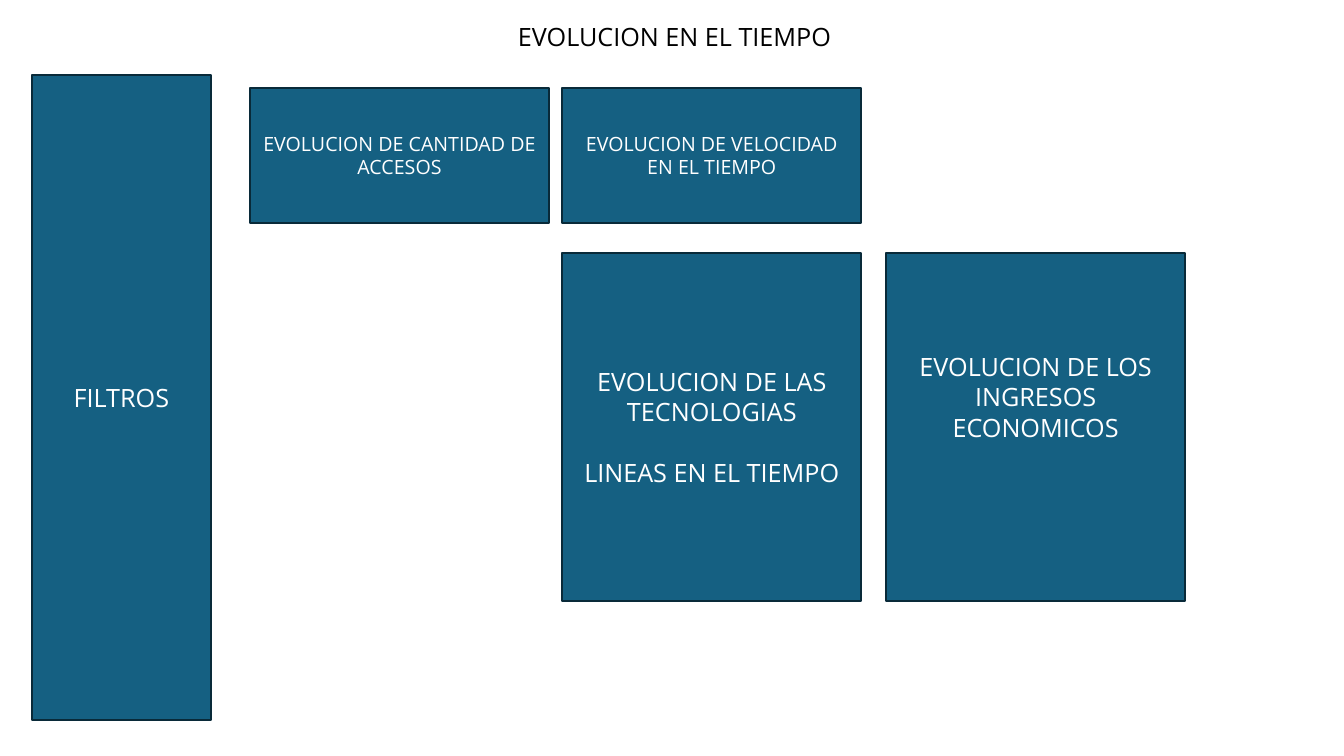
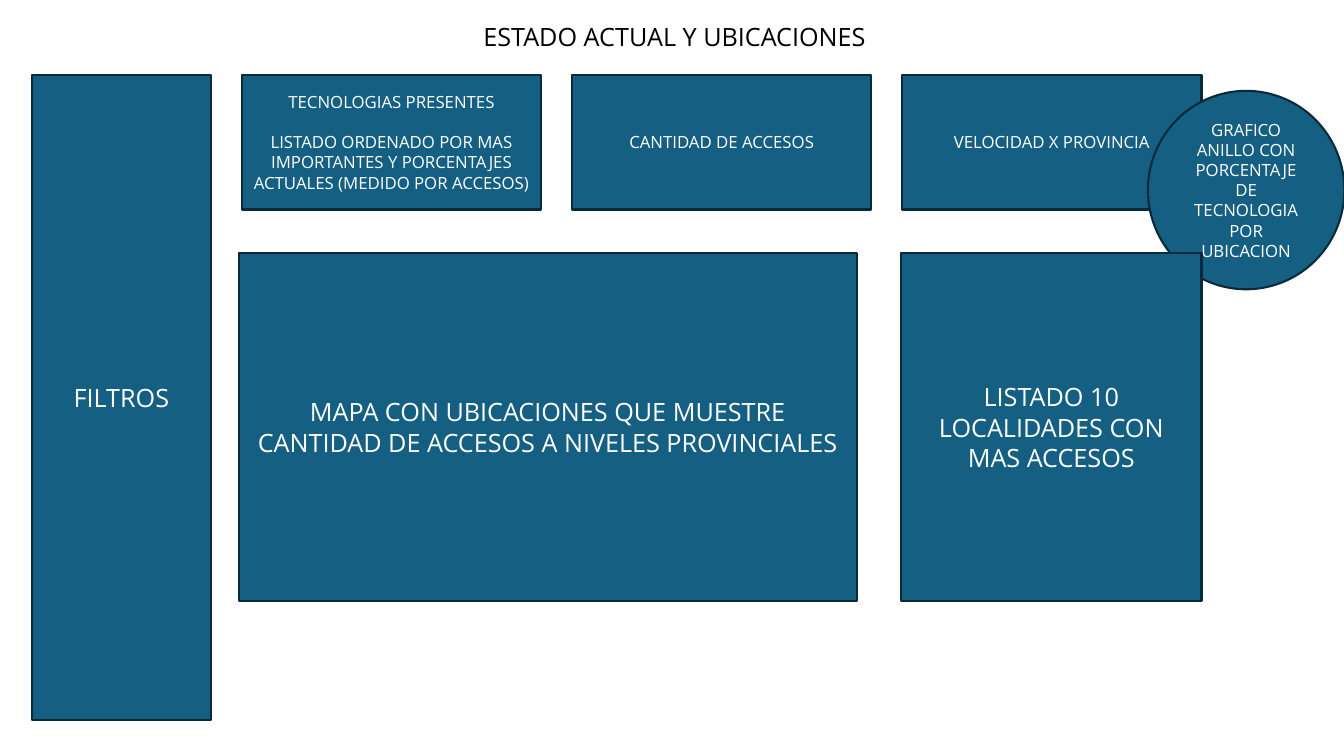
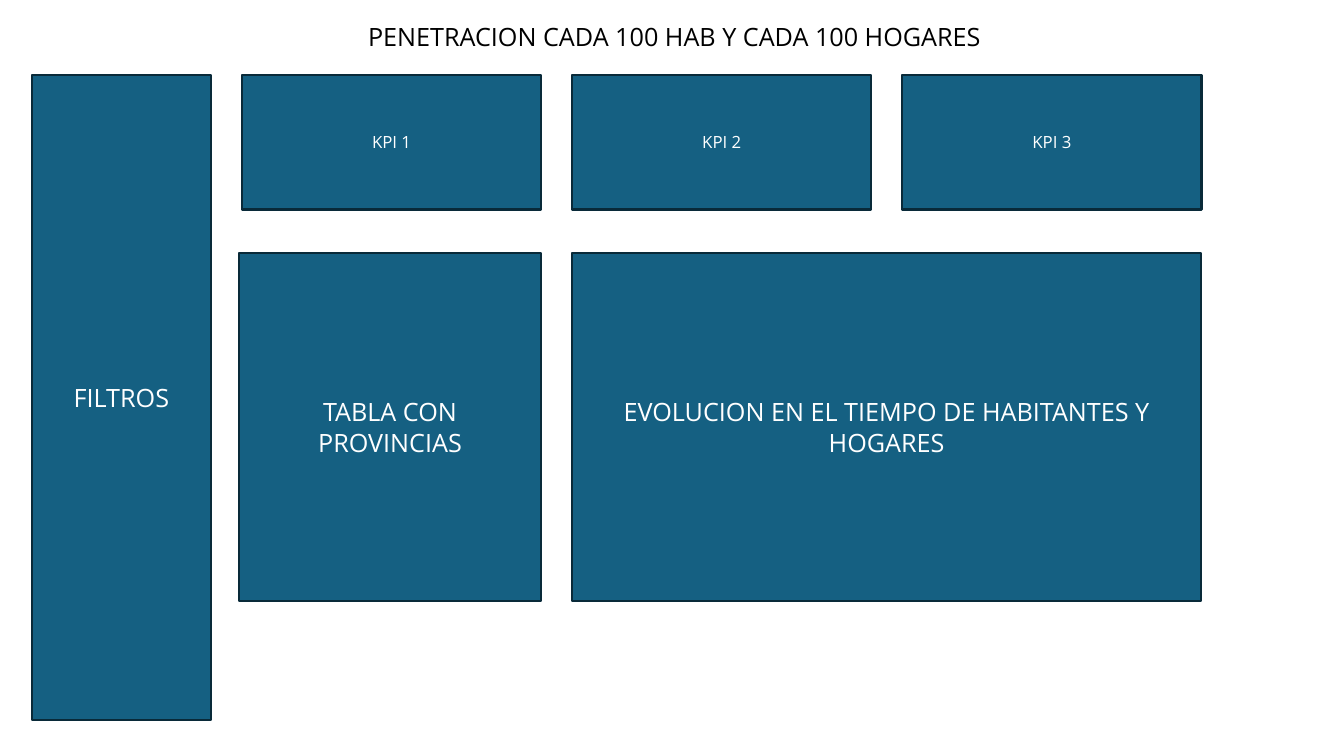
from pptx import Presentation
from pptx import util as u
from pptx.dml.color import RGBColor
from pptx.enum import shapes, text

BLUE = RGBColor(0x15, 0x60, 0x82)
NAVY = RGBColor(0x09, 0x2A, 0x39)
WHITE = RGBColor(0xFF, 0xFF, 0xFF)
BLACK = RGBColor(0, 0, 0)
FONT = "Open Sans"
RECT = shapes.MSO_SHAPE.RECTANGLE
OVAL = shapes.MSO_SHAPE.OVAL

# Shared grid, in centimetres
TOP, LOWER = 1.88, 6.38
CARD_W, CARD_H, PANEL_H = 7.54, 3.4, 8.76
COLS = [6.1 + 8.32 * i for i in range(3)]
EVOL_COLS, EVOL_TOP = (6.3, 14.17, 22.33), 2.21
PANEL_X = 6.02


def write(tf, paragraphs, size, color):
    """Centred text; paragraphs after the first stand one line apart."""
    tf.word_wrap = True
    for i, line in enumerate(paragraphs):
        p = tf.paragraphs[0] if i == 0 else tf.add_paragraph()
        p.alignment = text.PP_ALIGN.CENTER
        if i:
            p.space_before = u.Pt(size * 1.2)
        r = p.add_run()
        r.text = line
        fmt = {"name": FONT, "size": u.Pt(size)}
        for key, value in fmt.items():
            setattr(r.font, key, value)
        r.font.color.rgb = color


def add_block(s, kind, x, y, w, h, size, *paragraphs):
    sp = s.shapes.add_shape(kind, u.Cm(x), u.Cm(y), u.Cm(w), u.Cm(h))
    sp.shadow.inherit = False
    sp.fill.solid()
    sp.fill.fore_color.rgb = BLUE
    sp.line.color.rgb = NAVY
    sp.line.width = u.Pt(1.5)
    sp.text_frame.vertical_anchor = text.MSO_ANCHOR.MIDDLE
    write(sp.text_frame, paragraphs, size, WHITE)
    return sp


prs = Presentation()
prs.slide_width, prs.slide_height = u.Cm(33.87), u.Cm(19.05)

# Title and filter column of every slide
slides = []
for title in ("EVOLUCION EN EL TIEMPO",
              "ESTADO ACTUAL Y UBICACIONES",
              "PENETRACION CADA 100 HAB Y CADA 100 HOGARES"):
    s = prs.slides.add_slide(prs.slide_layouts[5])
    box = {"left": 6.88, "top": 0.41, "width": 20.24, "height": 1.02}
    for key, value in box.items():
        setattr(s.shapes.title, key, u.Cm(value))
    tf = s.shapes.title.text_frame
    tf.auto_size = text.MSO_AUTO_SIZE.NONE
    tf.vertical_anchor = text.MSO_ANCHOR.TOP
    write(tf, [title], 18, BLACK)
    add_block(s, RECT, 0.81, TOP, 4.5, 16.26, 18, "FILTROS")
    slides.append(s)
evolution, status, penetration = slides

# Evolution over time
add_block(evolution, RECT, EVOL_COLS[1], LOWER, CARD_W, PANEL_H, 18,
          "EVOLUCION DE LAS TECNOLOGIAS", "LINEAS EN EL TIEMPO")
income = add_block(evolution, RECT, EVOL_COLS[2], LOWER, CARD_W, PANEL_H, 18,
                   "EVOLUCION DE LOS INGRESOS ECONOMICOS")
income.text_frame.margin_bottom = u.Cm(1.65)
for x, label in zip(EVOL_COLS, ("EVOLUCION DE CANTIDAD DE ACCESOS",
                                "EVOLUCION DE VELOCIDAD EN EL TIEMPO")):
    add_block(evolution, RECT, x, EVOL_TOP, CARD_W, CARD_H, 14, label)

# Card rows of the other two slides
cards = (
    (status, (("TECNOLOGIAS PRESENTES",
               "LISTADO ORDENADO POR MAS IMPORTANTES Y PORCENTAJES "
               "ACTUALES (MEDIDO POR ACCESOS)"),
              ("CANTIDAD DE ACCESOS",),
              ("VELOCIDAD X PROVINCIA",))),
    (penetration, (("KPI 1",), ("KPI 2",), ("KPI 3",))),
)
for s, row in cards:
    for x, paragraphs in zip(COLS, row):
        add_block(s, RECT, x, TOP, CARD_W, CARD_H, 12, *paragraphs)

# Current status: ring chart spot behind the list panel
add_block(status, OVAL, 28.93, 2.29, 4.95, 5, 12,
          "GRAFICO ANILLO CON PORCENTAJE DE TECNOLOGIA POR UBICACION")

# Lower panels
for s, x, w, label in (
    (status, PANEL_X, 15.57, "MAPA CON UBICACIONES QUE MUESTRE CANTIDAD DE "
                             "ACCESOS A NIVELES PROVINCIALES"),
    (status, 22.71, 7.57, "LISTADO 10 LOCALIDADES CON MAS ACCESOS"),
    (penetration, PANEL_X, 7.62, "TABLA CON PROVINCIAS"),
    (penetration, COLS[1], 15.85,
     "EVOLUCION EN EL TIEMPO DE HABITANTES Y HOGARES"),
):
    add_block(s, RECT, x, LOWER, w, PANEL_H, 18, label)

prs.save("out.pptx")
